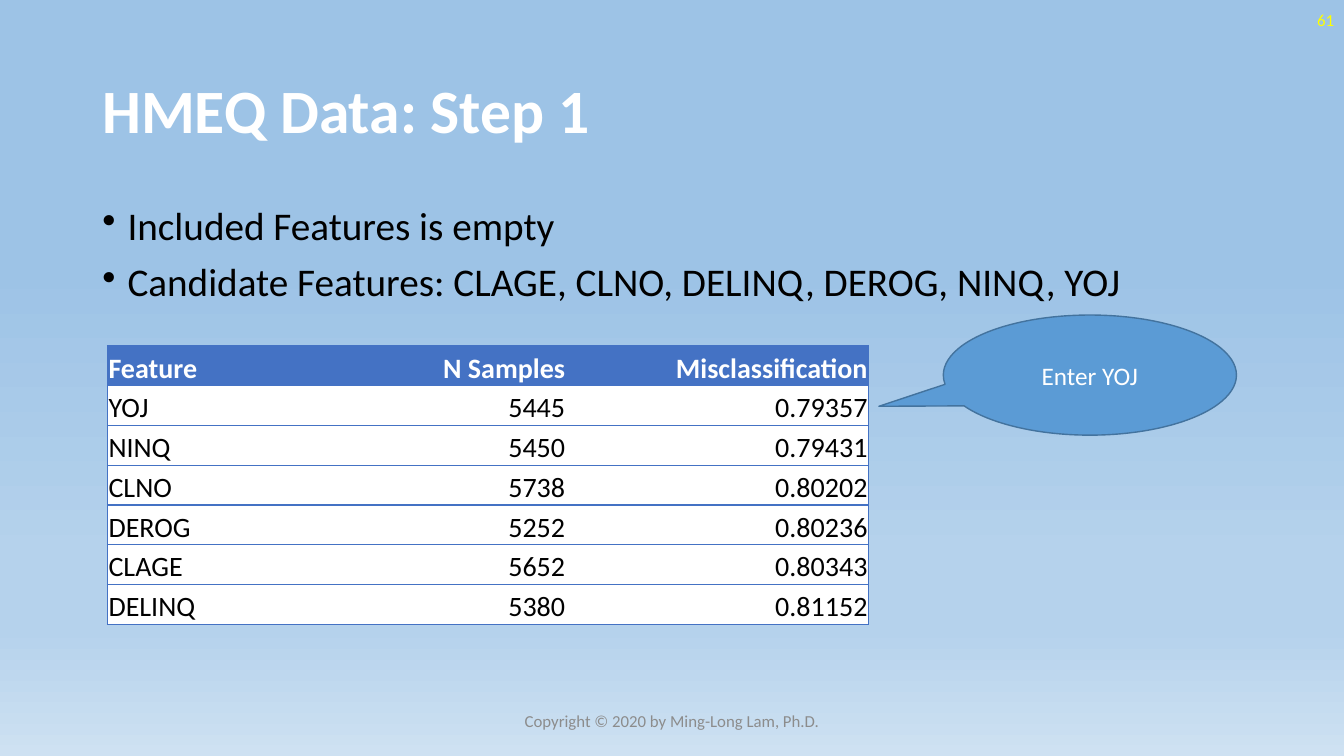
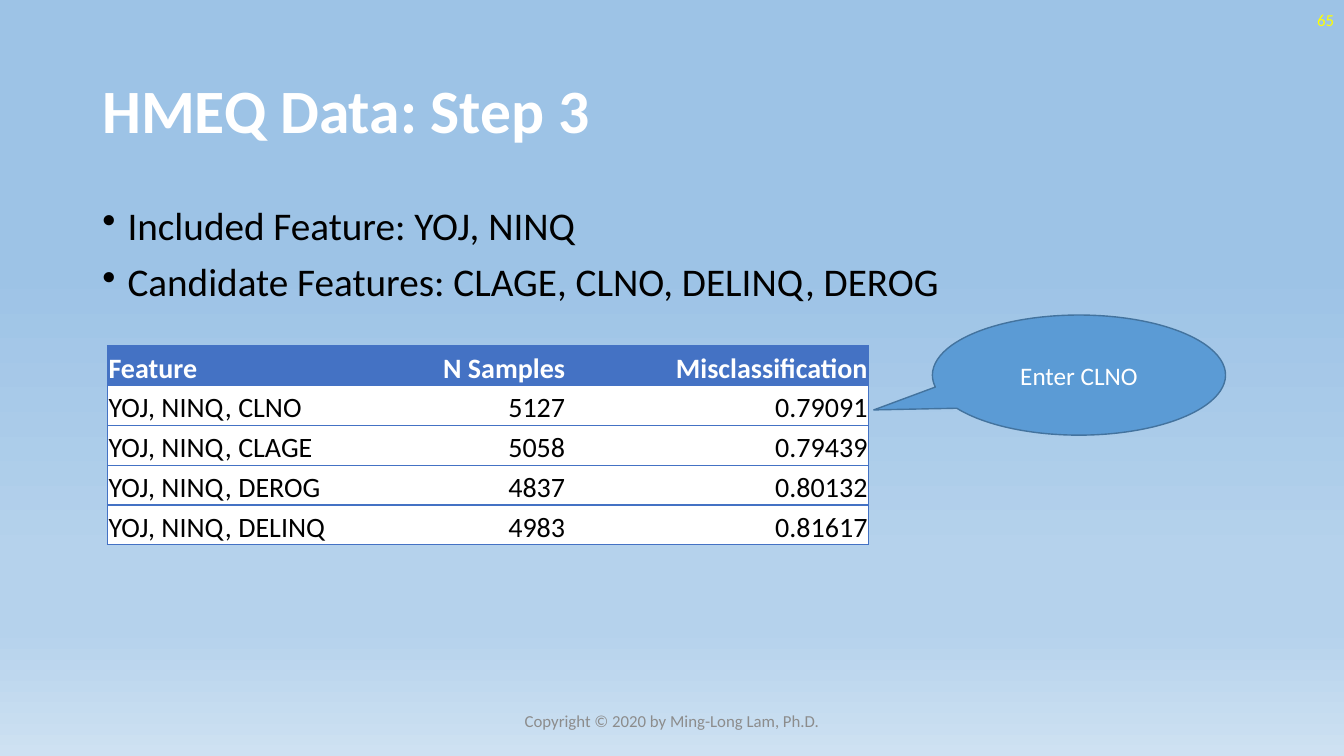
from lxml.etree import SubElement
from pptx import Presentation
from pptx.dml.color import RGBColor
from pptx.enum.shapes import MSO_SHAPE
from pptx.enum.text import MSO_ANCHOR, PP_ALIGN
from pptx.oxml.ns import qn
from pptx.util import Emu, Inches, Pt

LEFT, MID, RIGHT = PP_ALIGN.LEFT, PP_ALIGN.CENTER, PP_ALIGN.RIGHT
TOP, CENTRE, BASE = MSO_ANCHOR.TOP, MSO_ANCHOR.MIDDLE, MSO_ANCHOR.BOTTOM
BUBBLE = MSO_SHAPE.OVAL_CALLOUT

FONT = "Calibri"
COLS, ROWS = 160, 90
HEX = {
    "white": "FFFFFF", "black": "000000", "page": "FFFF00", "foot": "8C8C8C",
    "head": "4472C4", "bubble": "5B9BD5", "edge": "43739E",
    "sky": "9DC3E6", "haze": "B5D2EC", "mist": "CEE1F2",
}
STOPS = [(35, "sky"), (74, "haze"), (83, "haze"), (100, "mist")]
PLAIN = "{2D5ABB26-0587-4C30-8999-92F81FD0307C}"
FOOT = "Copyright © 2020 by Ming-Long Lam, Ph.D."
HEADS = ["Feature", "N Samples", "Misclassification"]
WIDTHS = [27.3, 27.3, 36]
ROW = 4.73

STEPS = [
    {
        "page": "61",
        "title": "HMEQ Data: Step 1",
        "points": ["Included Features is empty",
                   "Candidate Features: CLAGE, CLNO, DELINQ, DEROG, NINQ, YOJ"],
        "rows": [["YOJ", "5445", "0.79357"], ["NINQ", "5450", "0.79431"],
                 ["CLNO", "5738", "0.80202"], ["DEROG", "5252", "0.80236"],
                 ["CLAGE", "5652", "0.80343"], ["DELINQ", "5380", "0.81152"]],
        "note": ("Enter YOJ", 112.3, (-0.72, 0.26)),
    },
    {
        "page": "65",
        "title": "HMEQ Data: Step 3",
        "points": ["Included Feature: YOJ, NINQ",
                   "Candidate Features: CLAGE, CLNO, DELINQ, DEROG"],
        "rows": [["YOJ, NINQ, CLNO", "5127", "0.79091"],
                 ["YOJ, NINQ, CLAGE", "5058", "0.79439"],
                 ["YOJ, NINQ, DEROG", "4837", "0.80132"],
                 ["YOJ, NINQ, DELINQ", "4983", "0.81617"]],
        "note": ("Enter CLNO", 111, (-0.7, 0.29)),
    },
]


def tint(name):
    return RGBColor.from_string(HEX[name])


class Deck:
    """Holds the shared style and the current slide."""

    def __init__(self):
        self.prs = Presentation()
        self.prs.slide_width = Inches(13.33)
        self.prs.slide_height = Inches(7.5)
        self.slide = None
        self.sky()

    def x(self, cols):
        return Emu(round(self.prs.slide_width * cols / COLS))

    def y(self, rows):
        return Emu(round(self.prs.slide_height * rows / ROWS))

    def area(self, left, top, width, height):
        return self.x(left), self.y(top), self.x(width), self.y(height)

    def sky(self):
        master = self.prs.slide_master
        fill = master.background.fill
        fill.gradient()
        fill.gradient_angle = 270
        stops = master.element.find(".//" + qn("a:gsLst"))
        for stop in list(stops):
            stops.remove(stop)
        for share, name in STOPS:
            stop = SubElement(stops, qn("a:gs"), pos=str(share * 1000))
            SubElement(stop, qn("a:srgbClr"), val=HEX[name])

    def style(self, para, size, color, align=LEFT, bold=False):
        para.alignment = align
        for run in para.runs:
            font = run.font
            font.name, font.size, font.bold = FONT, Pt(size), bold
            font.color.rgb = tint(color)

    def box(self, lines, area, size, color, align=LEFT, anchor=CENTRE, bold=False):
        frame = self.slide.shapes.add_textbox(*self.area(*area)).text_frame
        frame.word_wrap = True
        frame.vertical_anchor = anchor
        frame.text = "\n".join(lines)
        for para in frame.paragraphs:
            self.style(para, size, color, align, bold)
        return frame.paragraphs

    def page(self, num):
        self.slide = self.prs.slides.add_slide(self.prs.slide_layouts[6])
        self.box([num], (124, 0, 36, 4.8), 12, "page", RIGHT)
        self.box([FOOT], (53, 83.4, 54, 4.8), 12, "foot", MID)

    def title(self, text):
        paras = self.box([text], (11, 4.8, 138, 17.4), 44, "white", bold=True)
        paras[0].line_spacing = 0.9

    def points(self, lines):
        paras = self.box(lines, (11, 24, 138, 14.3), 28, "black", anchor=TOP)
        for num, para in enumerate(paras):
            para.line_spacing = 0.9
            para.space_before = Pt(10 if num else 0)
            props = para._p.get_or_add_pPr()
            props.set("marL", str(Inches(0.25)))
            props.set("indent", str(-Inches(0.25)))
            SubElement(props, qn("a:buChar"), char="•")

    def rule(self, cell, sides):
        props = cell._tc.get_or_add_tcPr()
        for num, side in enumerate(sides):
            line = SubElement(props, qn("a:ln" + side), w=str(Pt(1)))
            fill = SubElement(line, qn("a:solidFill"))
            SubElement(fill, qn("a:srgbClr"), val=HEX["head"])
            props.insert(num, line)

    def cell(self, cell, text, col, head):
        cell.margin_left = cell.margin_right = cell.margin_top = Inches(0.01)
        cell.margin_bottom = 0
        cell.vertical_anchor = BASE
        cell.fill.solid()
        cell.fill.fore_color.rgb = tint("head" if head else "white")
        cell.text_frame.text = text
        self.style(cell.text_frame.paragraphs[0], 20,
                   "white" if head else "black", RIGHT if col else LEFT, head)
        self.rule(cell, ["LTB", "TB", "RTB"][col])

    def table(self, rows):
        rows = [HEADS] + rows
        area = self.area(12.8, 41.2, sum(WIDTHS), ROW * len(rows))
        table = self.slide.shapes.add_table(len(rows), len(HEADS), *area).table
        table.first_row = table.horz_banding = False
        table._tbl.find(".//" + qn("a:tableStyleId")).text = PLAIN
        for col, width in zip(table.columns, WIDTHS):
            col.width = self.x(width)
        for r, row in enumerate(rows):
            table.rows[r].height = self.y(ROW)
            for c, text in enumerate(row):
                self.cell(table.cell(r, c), text, c, r == 0)

    def note(self, text, left, tip):
        shape = self.slide.shapes.add_shape(BUBBLE, *self.area(left, 37.5, 34.9, 14.3))
        shape.shadow.inherit = False
        shape.adjustments[0], shape.adjustments[1] = tip
        shape.fill.solid()
        shape.fill.fore_color.rgb = tint("bubble")
        shape.line.color.rgb = tint("edge")
        shape.line.width = Pt(1)
        frame = shape.text_frame
        frame.text = text
        frame.vertical_anchor = CENTRE
        self.style(frame.paragraphs[0], 18, "white", MID)


def main():
    deck = Deck()
    for step in STEPS:
        deck.page(step["page"])
        deck.title(step["title"])
        deck.points(step["points"])
        deck.table(step["rows"])
        deck.note(*step["note"])
    deck.prs.save("out.pptx")


if __name__ == "__main__":
    main()
